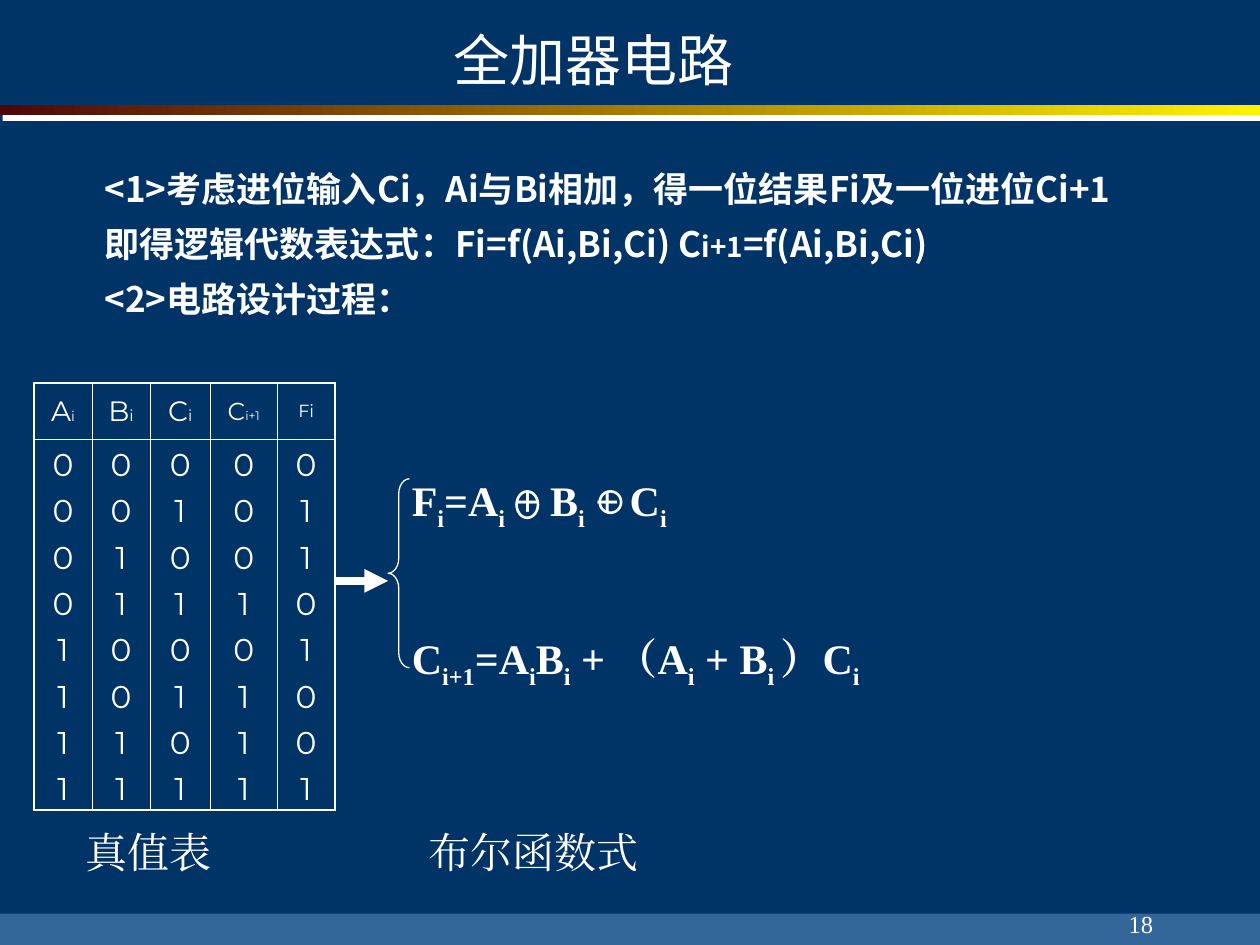
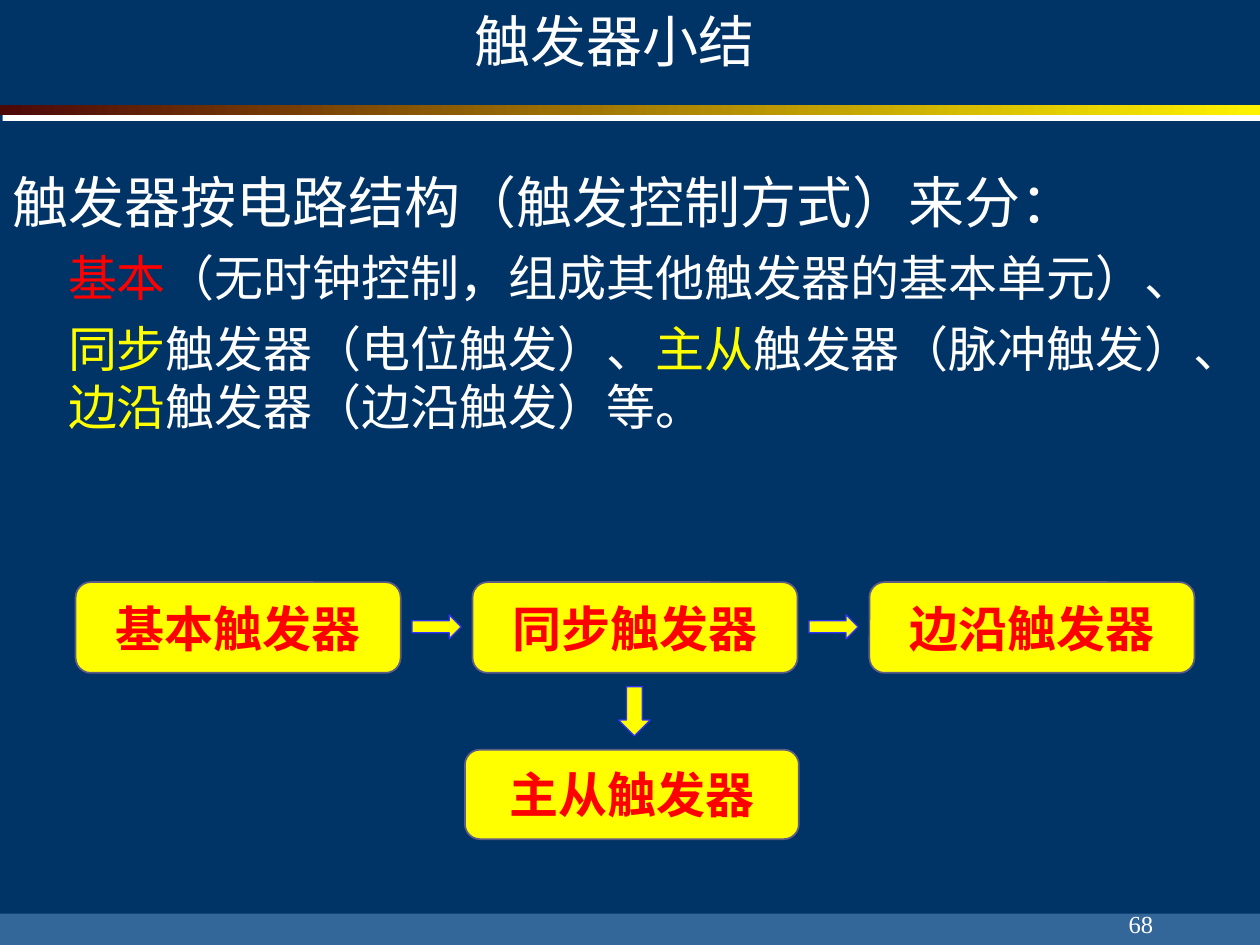
"""Build two lecture slides on full adders and flip-flops."""
import dataclasses
import itertools

import lxml.etree
import pptx
import pptx.dml.color
import pptx.enum.lang
import pptx.enum.shapes
import pptx.enum.text
import pptx.oxml.ns
import pptx.util

Inches = pptx.util.Inches
Pt = pptx.util.Pt
SHAPE = pptx.enum.shapes.MSO_SHAPE
ALIGN = pptx.enum.text.PP_ALIGN
ANCHOR = pptx.enum.text.MSO_ANCHOR
qn = pptx.oxml.ns.qn


@dataclasses.dataclass(frozen=True)
class TextStyle:
    """Character formatting of a run."""
    font: str
    size: float
    color: str = "FFFFFF"
    bold: bool = False
    baseline: int = 0

    def but(self, **changes):
        """Return this style with some changes."""
        return dataclasses.replace(self, **changes)


@dataclasses.dataclass(frozen=True)
class Theme:
    """Colours and text styles of the presentation."""
    background: str = "003366"
    footer: str = "336699"
    white: str = "FFFFFF"
    band_start: str = "4D0808"
    band_end: str = "FFF200"
    yellow: str = "FFFF00"
    red: str = "FF0000"
    node_line: str = "5F5D83"
    arrow_line: str = "3333FF"
    title: TextStyle = TextStyle("Noto Sans CJK SC", 32)
    statement: TextStyle = TextStyle("Noto Sans CJK SC", 20, bold=True)
    formula: TextStyle = TextStyle("Times New Roman", 24, bold=True)
    caption: TextStyle = TextStyle("Times New Roman", 24)
    page_number: TextStyle = TextStyle("Times New Roman", 14)
    table: TextStyle = TextStyle("Montserrat", 18)
    lead: TextStyle = TextStyle("Montserrat", 32)
    detail: TextStyle = TextStyle("Montserrat", 28)
    node: TextStyle = TextStyle("Montserrat", 28, "FF0000", True)


THEME = Theme()


def rgb(color):
    """Turn a hex string into a colour."""
    return pptx.dml.color.RGBColor.from_string(color)


def format_run(run, style):
    """Apply a text style to a run."""
    font = run.font
    font.name, font.size, font.bold = style.font, Pt(style.size), style.bold
    font.color.rgb = rgb(style.color)
    font.language_id = pptx.enum.lang.MSO_LANGUAGE_ID.SIMPLIFIED_CHINESE
    properties = run._r.get_or_add_rPr()
    lxml.etree.SubElement(properties, qn("a:ea"), typeface=style.font)
    if style.baseline:
        properties.set("baseline", str(style.baseline * 1000))


def write(paragraph, marked_text, style, marked_style=None, align=ALIGN.LEFT, before=0):
    """Write text whose parts between bars take the marked style."""
    paragraph.alignment = align
    paragraph.space_before = Pt(before)
    for part, run_style in zip(marked_text.split("|"), itertools.cycle((style, marked_style))):
        if part:
            run = paragraph.add_run()
            run.text = part
            format_run(run, run_style)


def remove_bullet(paragraph, indent=0):
    """Set a plain left indent without a bullet."""
    properties = paragraph._p.get_or_add_pPr()
    properties.set("marL", str(Inches(indent)))
    properties.set("indent", "0")
    lxml.etree.SubElement(properties, qn("a:buNone"))


def next_paragraph(text_frame, index):
    """Return the first paragraph or a new one."""
    return text_frame.add_paragraph() if index else text_frame.paragraphs[0]


def place_placeholder(placeholder, left, top, width, height):
    """Move a placeholder and return its plain top-anchored text frame."""
    placeholder.left, placeholder.top = Inches(left), Inches(top)
    placeholder.width, placeholder.height = Inches(width), Inches(height)
    frame = placeholder.text_frame
    frame.auto_size = pptx.enum.text.MSO_AUTO_SIZE.NONE
    frame.vertical_anchor = ANCHOR.TOP
    frame.word_wrap = True
    return frame


def add_text_frame(slide, left, top, width, height):
    """Add a wrapping text box and return its frame."""
    frame = slide.shapes.add_textbox(
        Inches(left), Inches(top), Inches(width), Inches(height)).text_frame
    frame.word_wrap = True
    return frame


def add_shape(slide, kind, left, top, width, height, fill=None, line=None, line_width=1):
    """Add a preset shape without shadow."""
    shape = slide.shapes.add_shape(
        kind, Inches(left), Inches(top), Inches(width), Inches(height))
    shape.shadow.inherit = False
    if fill:
        shape.fill.solid()
        shape.fill.fore_color.rgb = rgb(fill)
    else:
        shape.fill.background()
    if line:
        shape.line.color.rgb = rgb(line)
        shape.line.width = Pt(line_width)
    else:
        shape.line.fill.background()
    return shape


def add_base_slide(presentation, page_number):
    """Add a slide with the shared bands and page number."""
    slide = presentation.slides.add_slide(presentation.slide_layouts[1])
    add_shape(slide, SHAPE.RECTANGLE, 0, 7.25, 10, 0.25, THEME.footer)
    add_shape(slide, SHAPE.RECTANGLE, 0.02, 0.88, 9.98, 0.08, THEME.white)
    band = add_shape(slide, SHAPE.RECTANGLE, 0, 0.83, 10, 0.08)
    band.fill.gradient()
    band.fill.gradient_angle = 0
    for stop, color in zip(band.fill.gradient_stops, (THEME.band_start, THEME.band_end)):
        stop.color.rgb = rgb(color)
    frame = add_text_frame(slide, 7.17, 7, 2.08, 0.5)
    frame.vertical_anchor = ANCHOR.BOTTOM
    write(frame.paragraphs[0], str(page_number), THEME.page_number, align=ALIGN.RIGHT)
    return slide


def add_cell_borders(cell, widths):
    """Draw left, right, top and bottom borders of given widths."""
    properties = cell._tc.get_or_add_tcPr()
    for side, width in zip("LRTB", widths):
        border = lxml.etree.SubElement(properties, qn(f"a:ln{side}"), w=str(Pt(width)))
        fill = lxml.etree.SubElement(border, qn("a:solidFill"))
        lxml.etree.SubElement(fill, qn("a:srgbClr"), val=THEME.white)


def add_truth_table(slide, left, top):
    """Add the truth table of the full adder."""
    widths, heights = (0.46, 0.46, 0.48, 0.53, 0.46), (0.45, 2.94)
    headers = (("A|i", 16, 8), ("B|i", 16, 9), ("C|i", 16, 9), ("C|i+1", 14, 7), ("Fi", 10, 10))
    states = [(a, b, c, int(a + b + c > 1), a ^ b ^ c)
              for a, b, c in itertools.product((0, 1), repeat=3)]
    table = slide.shapes.add_table(
        2, len(widths), Inches(left), Inches(top),
        Inches(sum(widths)), Inches(sum(heights))).table
    table.first_row = table.horz_banding = False
    for row, height in zip(table.rows, heights):
        row.height = Inches(height)
    thin, thick = 0.45, 1.08
    for index, (width, (header, size, small), values) in enumerate(
            zip(widths, headers, zip(*states))):
        table.columns[index].width = Inches(width)
        head, body = table.cell(0, index), table.cell(1, index)
        write(head.text_frame.paragraphs[0], header, THEME.table.but(size=size),
              THEME.table.but(size=small), ALIGN.CENTER, 2)
        for position, value in enumerate(values):
            write(next_paragraph(body.text_frame, position), str(value), THEME.table,
                  align=ALIGN.CENTER, before=4.5)
        sides = (thick if index == 0 else thin, thick if index == len(widths) - 1 else thin)
        for cell, edges in ((head, (thick, thin)), (body, (thin, thick))):
            add_cell_borders(cell, sides + edges)
            cell.fill.background()
            cell.vertical_anchor = ANCHOR.MIDDLE


def add_formulas(slide, left, top):
    """Add the braced Boolean formulas and the arrow leading to them."""
    frame = add_text_frame(slide, left + 0.09, top - 0.08, 5.14, 1.83)
    subscript = THEME.formula.but(baseline=-25)
    write(frame.paragraphs[0], "F|i|=A|i| + B|i| + C|i", THEME.formula, subscript)
    write(frame.add_paragraph(), "C|i+1|=A|i|B|i| + （A|i| + B|i |）C|i",
          THEME.formula, subscript, before=57.5)
    for offset, height in ((1.02, 0.21), (1.68, 0.17)):
        add_shape(slide, SHAPE.OVAL, left + offset, top + 0.1, 0.17, height,
                  line=THEME.white, line_width=1.5)
    brace = add_shape(slide, SHAPE.LEFT_BRACE, left, top, 0.17, 1.5,
                      line=THEME.white, line_width=0.75)
    brace.adjustments[0] = 0.7
    level = Inches(top + 0.81)
    arrow = slide.shapes.add_connector(
        pptx.enum.shapes.MSO_CONNECTOR.STRAIGHT, Inches(left - 0.41), level, Inches(left), level)
    arrow.line.color.rgb = rgb(THEME.white)
    arrow.line.width = Pt(4.5)
    lxml.etree.SubElement(arrow.line._get_or_add_ln(), qn("a:tailEnd"), type="triangle")
    lxml.etree.SubElement(arrow._element.spPr, qn("a:effectLst"))


def add_full_adder_slide(presentation):
    """Add the full adder slide."""
    slide = add_base_slide(presentation, 18)
    title = place_placeholder(slide.shapes.title, 3.5, 0.15, 4.23, 0.64)
    write(title.paragraphs[0], "全加器电路", THEME.title)
    statements = place_placeholder(slide.placeholders[1], 0.73, 1.18, 9.1, 1.4)
    lines = ("<1>考虑进位输入Ci，Ai与Bi相加，得一位结果Fi及一位进位Ci+1",
             "即得逻辑代数表达式：Fi=f(Ai,Bi,Ci) C|i+1|=f(Ai,Bi,Ci)",
             "<2>电路设计过程：")
    for index, line in enumerate(lines):
        paragraph = next_paragraph(statements, index)
        remove_bullet(paragraph)
        write(paragraph, line, THEME.statement, THEME.statement.but(size=16))
        paragraph.line_spacing = Pt(31.3)
    add_truth_table(slide, 0.27, 3.04)
    add_formulas(slide, 3.08, 3.8)
    for left, caption in ((0.58, "真值表"), (3.3, "布尔函数式")):
        frame = add_text_frame(slide, left, 6.51, 2.5, 0.5)
        write(frame.paragraphs[0], caption, THEME.caption)


def add_node(slide, label, left, top, width=2.58, height=0.72):
    """Add a labelled flip-flop box."""
    node = add_shape(slide, SHAPE.FLOWCHART_ALTERNATE_PROCESS, left, top, width, height,
                     THEME.yellow, THEME.node_line)
    node.text_frame.vertical_anchor = ANCHOR.MIDDLE
    write(node.text_frame.paragraphs[0], label, THEME.node, align=ALIGN.CENTER)


def add_evolution_diagram(slide, left, top):
    """Add the flip-flop boxes and the block arrows between them."""
    step = 3.15
    for index, label in enumerate(("基本触发器", "同步触发器", "边沿触发器")):
        add_node(slide, label, left + index * step, top)
    add_node(slide, "主从触发器", left + 3.09, top + 1.33, 2.65, 0.71)
    arrows = [(SHAPE.RIGHT_ARROW, 2.67 + index * step, 0.26, 0.39, 0.19) for index in range(2)]
    arrows.append((SHAPE.DOWN_ARROW, 4.31, 0.83, 0.25, 0.39))
    for kind, across, down, width, height in arrows:
        add_shape(slide, kind, left + across, top + down, width, height,
                  THEME.yellow, THEME.arrow_line, 0.75)


def add_flip_flop_slide(presentation):
    """Add the flip-flop summary slide."""
    slide = add_base_slide(presentation, 68)
    title = place_placeholder(slide.shapes.title, 0.05, 0, 9.65, 0.75)
    write(title.paragraphs[0], "触发器小结", THEME.lead, align=ALIGN.CENTER)
    body = place_placeholder(slide.placeholders[1], 0, 1.28, 9.65, 2.47)
    lead = body.paragraphs[0]
    remove_bullet(lead)
    write(lead, "触发器按电路结构（触发控制方式）来分：", THEME.lead)
    details = (("|基本|（无时钟控制，组成其他触发器的基本单元）、", THEME.red),
               ("|同步|触发器（电位触发）、|主从|触发器（脉冲触发）、|边沿|触发器（边沿触发）等。",
                THEME.yellow))
    for text, color in details:
        paragraph = body.add_paragraph()
        paragraph.level = 1
        remove_bullet(paragraph, 0.44)
        write(paragraph, text, THEME.detail, THEME.detail.but(color=color), before=7)
    add_evolution_diagram(slide, 0.6, 4.62)


def main():
    """Build and save the presentation."""
    presentation = pptx.Presentation()
    presentation.slide_width, presentation.slide_height = Inches(10), Inches(7.5)
    background = presentation.slide_master.background.fill
    background.solid()
    background.fore_color.rgb = rgb(THEME.background)
    add_full_adder_slide(presentation)
    add_flip_flop_slide(presentation)
    presentation.save("out.pptx")


if __name__ == "__main__":
    main()
